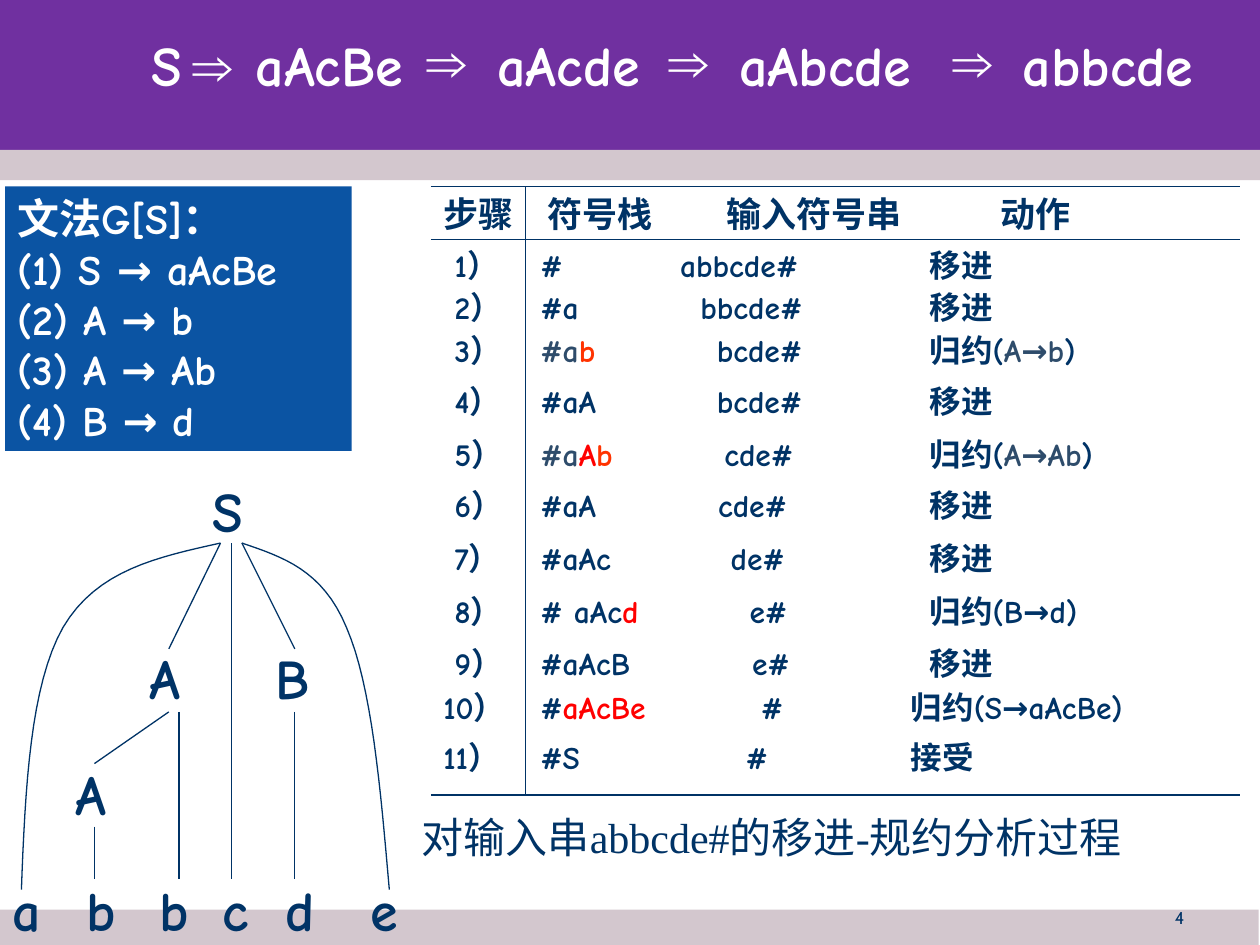
"""Build the shift-reduce parsing slide with its derivation, grammar, tree and step list."""
from dataclasses import dataclass

import lxml.etree
import pptx
import pptx.dml.color
import pptx.enum.shapes
import pptx.enum.text
import pptx.oxml
import pptx.oxml.ns
import pptx.util

Inches = pptx.util.Inches
Pt = pptx.util.Pt
Point = tuple[float, float]
Box = tuple[float, float, float, float]


@dataclass(frozen=True)
class Theme:
    ink: str = "003366"
    muted: str = "2E4C6B"
    red: str = "FF0000"
    orange: str = "FF3300"
    white: str = "FFFFFF"
    purple: str = "7030A0"
    band: str = "D3C7CE"
    blue: str = "0B54A3"
    hand: str = "Comic Neue"
    serif: str = "Times New Roman"
    symbol: str = "Arial"
    sans: str = "Cabin"
    symbol_size: float = 32
    body_size: float = 24
    header_size: float = 20
    step_size: float = 18
    number_size: float = 9.8
    line_width: float = 0.75


THEME = Theme()


@dataclass(frozen=True)
class Style:
    size: float
    name: str = THEME.hand
    color: str = THEME.ink
    bold: bool = True


@dataclass(frozen=True)
class Span:
    text: str
    color: str = THEME.ink


@dataclass(frozen=True)
class Step:
    number: int
    top: float
    stack: tuple[Span, ...]
    input_at: float
    remaining: str
    action: tuple[Span, ...]


@dataclass(frozen=True)
class Label:
    text: str
    left: float
    top: float
    width: float


def rgb(value: str) -> pptx.dml.color.RGBColor:
    """Turn a hex string into a colour."""
    return pptx.dml.color.RGBColor.from_string(value)


def add_run(paragraph, text: str, style: Style, color: str) -> None:
    """Append one formatted run."""
    run = paragraph.add_run()
    run.text = text
    formats = {"size": Pt(style.size), "name": style.name, "bold": style.bold}
    for key, value in formats.items():
        setattr(run.font, key, value)
    run.font.color.rgb = rgb(color)


def set_tabs(paragraph, stops: tuple[float, ...]) -> None:
    """Give a paragraph left tab stops in inches."""
    tab_list = lxml.etree.SubElement(
        paragraph._p.get_or_add_pPr(), pptx.oxml.ns.qn("a:tabLst"))
    for stop in stops:
        lxml.etree.SubElement(tab_list, pptx.oxml.ns.qn("a:tab"),
                              pos=str(Inches(stop)), algn="l")


def prepare_frame(shape):
    """Set wrapping and growth on a shape and return its first paragraph."""
    formats = {
        "word_wrap": True,
        "auto_size": pptx.enum.text.MSO_AUTO_SIZE.SHAPE_TO_FIT_TEXT,
        "vertical_anchor": pptx.enum.text.MSO_ANCHOR.TOP,
    }
    for key, value in formats.items():
        setattr(shape.text_frame, key, value)
    return shape.text_frame.paragraphs[0]


def add_text(slide, box: Box, text: str, style: Style):
    """Add a single-style text box and return its paragraph."""
    paragraph = prepare_frame(slide.shapes.add_textbox(*map(Inches, box)))
    if text:
        add_run(paragraph, text, style, style.color)
    return paragraph


def add_labels(slide, labels: list[Label], height: float, style: Style) -> None:
    """Add a set of labels sharing one height and style."""
    for label in labels:
        add_text(slide, (label.left, label.top, label.width, height), label.text, style)


def add_rect(slide, box: Box, color: str):
    """Add a plain filled rectangle."""
    rect = slide.shapes.add_shape(
        pptx.enum.shapes.MSO_SHAPE.RECTANGLE, *map(Inches, box))
    rect.shadow.inherit = False
    rect.fill.solid()
    rect.fill.fore_color.rgb = rgb(color)
    rect.line.fill.background()
    return rect


def style_line(line) -> None:
    """Apply the thin ink line."""
    line.color.rgb = rgb(THEME.ink)
    line.width = Pt(THEME.line_width)


def add_line(slide, start: Point, end: Point) -> None:
    """Add a straight line."""
    connector = slide.shapes.add_connector(
        pptx.enum.shapes.MSO_CONNECTOR.STRAIGHT, *map(Inches, start + end))
    style_line(connector.line)
    lxml.etree.SubElement(connector._element.spPr, pptx.oxml.ns.qn("a:effectLst"))


def bezier(points: tuple[Point, ...], t: float) -> Point:
    """Return the point at t on a cubic curve."""
    weights = ((1 - t) ** 3, 3 * t * (1 - t) ** 2, 3 * t * t * (1 - t), t ** 3)
    return tuple(sum(w * p[axis] for w, p in zip(weights, points)) for axis in (0, 1))


def add_curve(slide, points: tuple[Point, ...], pieces: int = 16) -> None:
    """Add an open outline along chained cubic curves."""
    track = [bezier(points[first:first + 4], n / pieces)
             for first in range(0, len(points) - 1, 3) for n in range(1, pieces + 1)]
    builder = slide.shapes.build_freeform(*map(Inches, points[0]))
    builder.add_line_segments([tuple(map(Inches, p)) for p in track], close=False)
    curve = builder.convert_to_shape()
    curve.shadow.inherit = False
    curve.fill.background()
    style_line(curve.line)


def add_step(slide, step: Step, style: Style) -> None:
    """Add one parsing step with its columns on tab stops."""
    single = step.number < 10
    paragraph = add_text(slide, (3.42, step.top, 6.42, 0.4), "", style)
    lead = (0.09,) if single else ()
    set_tabs(paragraph, lead + (0.77, step.input_at, 3.86 if single else 3.71))
    number = Span(("\t" if single else "") + f"{step.number}）\t")
    for span in (number, *step.stack, Span(f"\t{step.remaining}\t"), *step.action):
        add_run(paragraph, span.text, style, span.color)


def reduce_by(rule: str, color: str = THEME.ink) -> tuple[Span, ...]:
    """Return the spans of a reduce action."""
    return Span("归约("), Span(rule, color), Span(")")


SHIFT = (Span("移进"),)
STEPS = [
    Step(1, 1.9, (Span("#"),), 1.88, "abbcde#", SHIFT),
    Step(2, 2.24, (Span("#a"),), 2.04, "bbcde#", SHIFT),
    Step(3, 2.58, (Span("#a", THEME.muted), Span("b", THEME.orange)), 2.17, "bcde#",
         reduce_by("A→b", THEME.muted)),
    Step(4, 2.98, (Span("#aA"),), 2.17, "bcde#", SHIFT),
    Step(5, 3.4, (Span("#a", THEME.muted), Span("A", THEME.red), Span("b", THEME.orange)),
         2.23, "cde#", reduce_by("A→Ab", THEME.muted)),
    Step(6, 3.81, (Span("#aA"),), 2.18, "cde#", SHIFT),
    Step(7, 4.23, (Span("#aAc"),), 2.28, "de#", SHIFT),
    Step(8, 4.65, (Span("# aAc"), Span("d", THEME.red)), 2.43, "e#", reduce_by("B→d")),
    Step(9, 5.06, (Span("#aAcB"),), 2.45, "e#", SHIFT),
    Step(10, 5.41, (Span("#"), Span("aAcBe", THEME.red)), 2.52, "#", reduce_by("S→aAcBe")),
    Step(11, 5.81, (Span("#S"),), 2.4, "#", (Span("接受"),)),
]
GRAMMAR = ["文法G[S]：", "(1) S → aAcBe", "(2) A → b", "(3) A → Ab", "(4) B → d"]
DERIVATION = [Label("S", 1.1, 0.19, 0.42), Label("aAcBe", 1.93, 0.19, 1.58),
              Label("aAcde", 3.85, 0.19, 1.67), Label("aAbcde", 5.77, 0.19, 1.83),
              Label("abbcde", 8.02, 0.19, 1.83)]
ARROWS = [Label("⇒", left, top, 0.56)
          for left, top in ((1.43, 0.19), (3.29, 0.16), (5.21, 0.16), (7.46, 0.16))]
HEADERS = [Label("步骤", 3.42, 1.48, 0.83), Label("符号栈", 4.25, 1.48, 1.17),
           Label("输入符号串", 5.67, 1.48, 1.67), Label("动作", 7.84, 1.48, 0.83)]
LEAVES = [Label(text, left, 6.9, 0.42 if text == "e" else 0.33)
          for text, left in zip("abbcde", (0, 0.59, 1.17, 1.67, 2.17, 2.84))]
NODES = [Label("S", 1.59, 3.73, 0.42), Label("A", 1.09, 5.06, 0.42),
         Label("B", 2.09, 5.06, 0.5), Label("A", 0.5, 5.98, 0.42)]
BRANCHES = [((1.75, 4.31), (1.34, 5.15)), ((1.84, 4.31), (1.84, 6.98)),
            ((1.92, 4.31), (2.34, 5.15)), ((1.34, 5.65), (0.75, 6.06)),
            ((1.42, 5.65), (1.42, 6.98)), ((2.34, 5.65), (2.34, 6.98)),
            ((0.75, 6.56), (0.75, 6.98))]
CURVES = [((1.75, 4.31), (1.26, 4.42), (0.77, 4.52), (0.5, 4.98),
           (0.24, 5.44), (0.2, 6.25), (0.17, 7.06)),
          ((1.92, 4.31), (2.24, 4.42), (2.56, 4.52), (2.75, 4.98),
           (2.95, 5.44), (3.02, 6.25), (3.09, 7.06))]
RULES = [((3.42, y), (9.84, y)) for y in (1.48, 1.9, 6.31)] + [((4.17, 1.48), (4.17, 6.31))]


def add_grammar(slide) -> None:
    """Add the grammar panel."""
    paragraph = prepare_frame(add_rect(slide, (0.04, 1.48, 2.75, 2.1), THEME.blue))
    paragraph.alignment = pptx.enum.text.PP_ALIGN.LEFT
    for index, rule in enumerate(GRAMMAR):
        if index:
            paragraph.add_line_break()
        add_run(paragraph, rule, Style(THEME.body_size), THEME.white)


def main() -> None:
    """Build and save the slide."""
    deck = pptx.Presentation()
    deck.slide_width, deck.slide_height = Inches(10), Inches(7.5)
    slide = deck.slides.add_slide(deck.slide_layouts[6])
    add_rect(slide, (0, 0, 10, 1.31), THEME.purple)
    for box in ((0, 1.19, 10, 0.24), (0, 7.22, 9.99, 0.3)):
        add_rect(slide, box, THEME.band)
    page = add_text(slide, (7.17, 7.18, 2.33, 0.31), "4",
                    Style(THEME.number_size, THEME.sans, bold=False))
    page.alignment, page.line_spacing = pptx.enum.text.PP_ALIGN.RIGHT, 0.8
    add_grammar(slide)
    for start, end in RULES + BRANCHES:
        add_line(slide, start, end)
    for curve in CURVES:
        add_curve(slide, curve)
    add_labels(slide, HEADERS, 0.44, Style(THEME.header_size, THEME.serif))
    add_labels(slide, LEAVES + NODES, 0.64, Style(THEME.symbol_size))
    for step in STEPS:
        add_step(slide, step, Style(THEME.step_size))
    add_text(slide, (3.25, 6.39, 6, 0.9), "对输入串abbcde#的移进-规约分析过程",
             Style(THEME.body_size, THEME.serif, bold=False))
    add_labels(slide, DERIVATION, 0.64, Style(THEME.symbol_size, color=THEME.white))
    add_labels(slide, ARROWS, 0.64, Style(THEME.symbol_size, THEME.symbol, THEME.white))
    deck.save("out.pptx")


if __name__ == "__main__":
    main()
